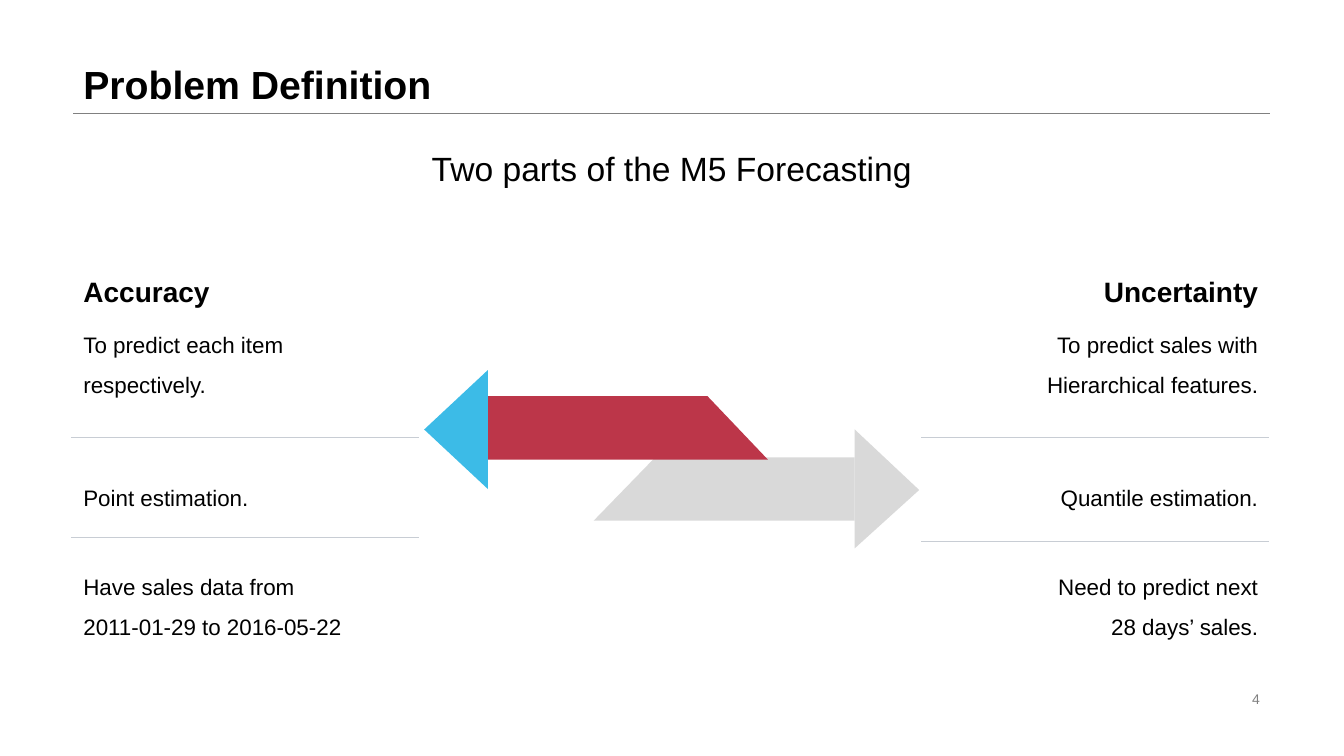
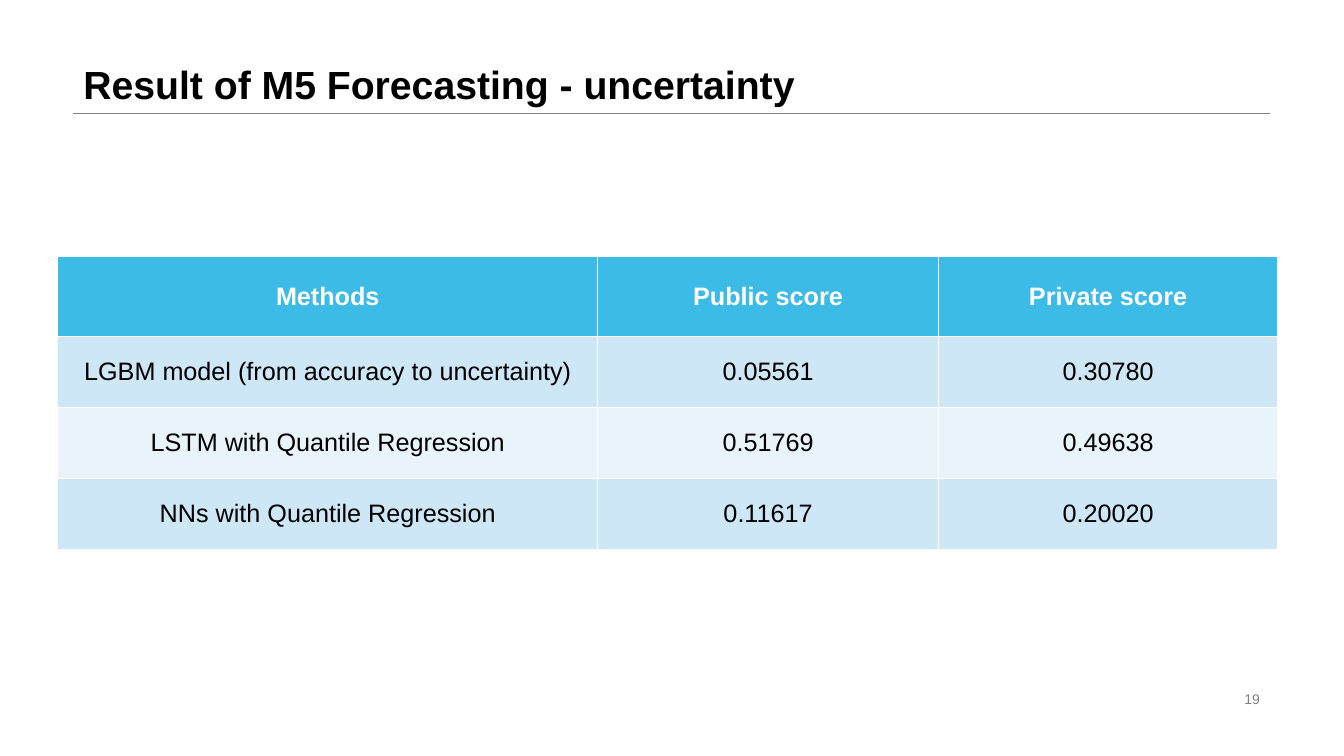
import pptx
import pptx.dml.color
import pptx.enum.shapes
import pptx.enum.text
import pptx.oxml.ns
import pptx.util
from lxml import etree

Pt = pptx.util.Pt
RGBColor = pptx.dml.color.RGBColor
ALIGN = pptx.enum.text.PP_ALIGN
ANCHOR = pptx.enum.text.MSO_ANCHOR

BLACK = RGBColor(0x00, 0x00, 0x00)
WHITE = RGBColor(0xFF, 0xFF, 0xFF)
GREY = RGBColor(0x80, 0x80, 0x80)
SILVER = RGBColor(0xD9, 0xD9, 0xD9)
DIVIDER = RGBColor(0xC8, 0xCD, 0xD4)
RED = RGBColor(0xBC, 0x36, 0x49)
BLUE = RGBColor(0x3C, 0xBB, 0xE7)
PALE_BLUE = RGBColor(0xCE, 0xE7, 0xF6)
PALEST_BLUE = RGBColor(0xE8, 0xF3, 0xFA)
FONT = "Arial"
LEFT, WIDTH = 52.5, 854.5


def add_text(page, area, text, size, color=BLACK, bold=False,
             align=ALIGN.LEFT, anchor=ANCHOR.TOP, spacing=1.0):
    box = page.shapes.add_textbox(*[Pt(length) for length in area])
    frame = box.text_frame
    frame.word_wrap = True
    frame.vertical_anchor = anchor
    frame.text = text
    for para in frame.paragraphs:
        para.alignment = align
        para.line_spacing = spacing
        for span in para.runs:
            span.font.name = FONT
            span.font.size = Pt(size)
            span.font.bold = bold
            span.font.color.rgb = color


def add_rule(page, left, top, width, color):
    rule = page.shapes.add_connector(
        pptx.enum.shapes.MSO_CONNECTOR.STRAIGHT,
        Pt(left), Pt(top), Pt(left + width), Pt(top))
    rule.line.color.rgb = color
    rule.line.width = Pt(0.25)
    etree.SubElement(rule._element.spPr, pptx.oxml.ns.qn("a:effectLst"))


deck = pptx.Presentation()
deck.slide_width = Pt(960)
deck.slide_height = Pt(540)

# Title, rule and page number on every slide
pages = []
for title, number in [("Problem Definition", "4"),
                      ("Result of M5 Forecasting - uncertainty", "19")]:
    page = deck.slides.add_slide(deck.slide_layouts[6])
    add_rule(page, LEFT, 80.7, WIDTH, GREY)
    add_text(page, (LEFT, 0, WIDTH, 80.7), title, 28, bold=True,
             anchor=ANCHOR.BOTTOM, spacing=0.9)
    add_text(page, (678, 491, 229, 16.5), number, 10, GREY,
             align=ALIGN.RIGHT, anchor=ANCHOR.MIDDLE)
    pages.append(page)
problem_page, result_page = pages

# Opposing arrows
arrow_parts = [
    (SILVER, [(656.6, 350), (610.5, 306.7), (610.5, 391.7)]),
    (SILVER, [(610.5, 372), (610.5, 326.7), (468, 326.7), (424, 372)]),
    (RED, [(548.5, 328.3), (505.4, 283), (348.5, 283), (348.5, 328.3)]),
    (BLUE, [(348.5, 349.3), (348.5, 264.3), (303, 306.8)]),
]
for color, corners in arrow_parts:
    points = [(Pt(x), Pt(y)) for x, y in corners]
    outline = problem_page.shapes.build_freeform(*points[0])
    outline.add_line_segments(points[1:], close=True)
    part = outline.convert_to_shape()
    part.shadow.inherit = False
    part.fill.solid()
    part.fill.fore_color.rgb = color
    part.line.fill.background()

# Heading and the two columns beside the arrows
add_text(problem_page, (LEFT, 97, WIDTH, 46), "Two parts of the M5 Forecasting",
         24, align=ALIGN.CENTER, anchor=ANCHOR.MIDDLE)
columns = [
    (LEFT, 221, 50.7, 383.8, ALIGN.LEFT, "Accuracy",
     ["To predict each item respectively.", "Point estimation.",
      "Have sales data from\n2011-01-29 to 2016-05-22"]),
    (659.8, 246, 658, 386.7, ALIGN.RIGHT, "Uncertainty",
     ["To predict sales with Hierarchical features.", "Quantile estimation.",
      "Need to predict next\n28 days’ sales."]),
]
for left, width, rule_left, lower_rule, align, heading, notes in columns:
    add_text(problem_page, (left, 192.2, width, 31), heading, 20, bold=True,
             align=align)
    for top, note in zip((223.2, 332.9, 396), notes):
        add_text(problem_page, (left, top, width, 49), note, 16,
                 align=align, spacing=1.5)
    for top in (312, lower_rule):
        add_rule(problem_page, rule_left, top, 248.5, DIVIDER)

# Score table
scores = [
    ("Methods", "Public score", "Private score"),
    ("LGBM model (from accuracy to uncertainty)", "0.05561", "0.30780"),
    ("LSTM with Quantile Regression", "0.51769", "0.49638"),
    ("NNs with Quantile Regression", "0.11617", "0.20020"),
]
row_fills = [BLUE, PALE_BLUE, PALEST_BLUE, PALE_BLUE]
table = result_page.shapes.add_table(
    len(scores), len(scores[0]), Pt(41.3), Pt(183.2), Pt(871.5), Pt(209.4)).table
for column, width in zip(table.columns, (385.7, 243.3, 242.5)):
    column.width = Pt(width)
for row, height in zip(table.rows, (57, 50.8, 50.8, 50.8)):
    row.height = Pt(height)
for row_index, (values, fill) in enumerate(zip(scores, row_fills)):
    for column_index, value in enumerate(values):
        cell = table.cell(row_index, column_index)
        cell.fill.solid()
        cell.fill.fore_color.rgb = fill
        cell.vertical_anchor = ANCHOR.MIDDLE
        cell.text_frame.text = value
        para = cell.text_frame.paragraphs[0]
        para.alignment = ALIGN.CENTER
        span = para.runs[0]
        span.font.name = FONT
        span.font.size = Pt(18)
        span.font.bold = row_index == 0
        span.font.color.rgb = WHITE if row_index == 0 else BLACK

deck.save("out.pptx")
